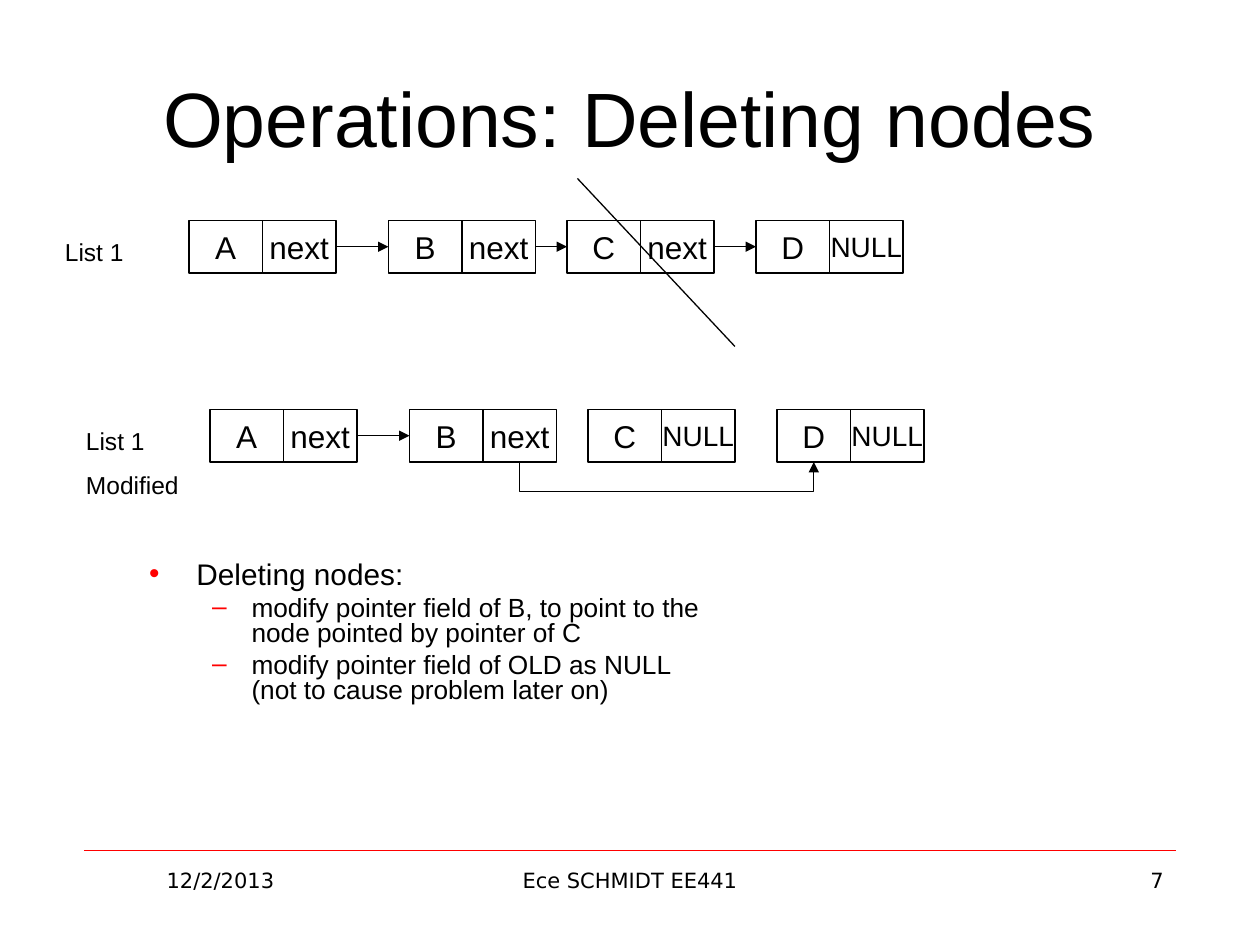
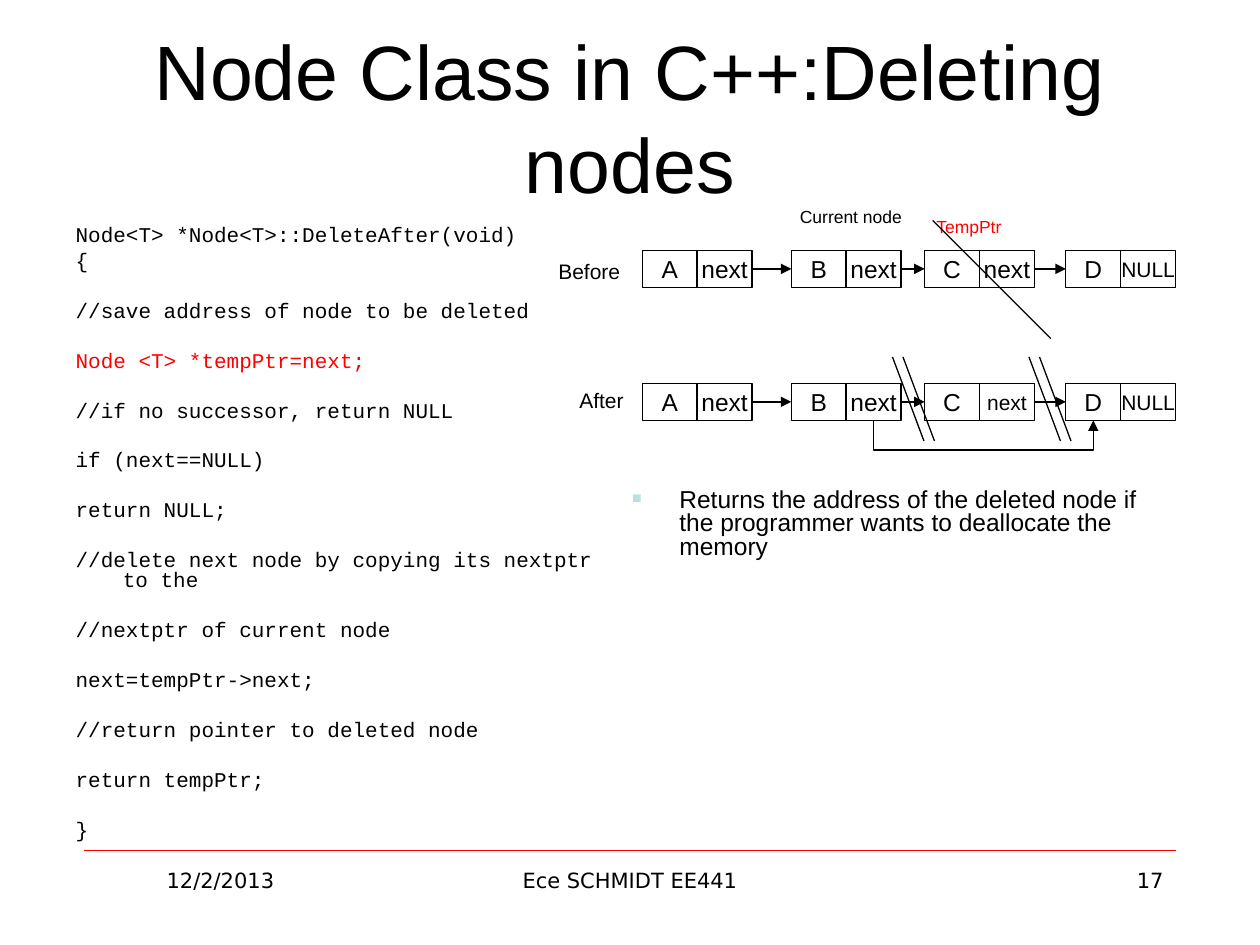
from dataclasses import dataclass

from lxml import etree
from pptx import Presentation
from pptx.dml.color import RGBColor
from pptx.enum.shapes import MSO_CONNECTOR as Link, MSO_SHAPE as Preset
from pptx.enum.text import MSO_ANCHOR as Anchor, MSO_AUTO_SIZE as Fit, PP_ALIGN as Align
from pptx.oxml.ns import qn
from pptx.util import Pt


@dataclass(frozen=True)
class Theme:
    black: str = "000000"
    red: str = "FF0000"
    pale: str = "BBE0E3"
    sans: str = "Arial"
    mono: str = "Courier New"
    footer_font: str = "DejaVu Sans"
    title: int = 44
    footer: int = 12
    code: int = 12
    line: float = 0.75
    rule: float = 0.25


THEME = Theme()
TOP, LEFT, BOTTOM, RIGHT = 0, 1, 2, 3
NODE_STARTS = (0, 114, 216, 324)
CELL_WIDTH, ELBOW_DROP = 42, 18

# Bullet styles: indent, hanging, size, space before, bullet, bullet colour, bullet percent
POINT = dict(level=0, margin=27, hang=27, size=17, before=4, mark="•", tint=THEME.red)
DETAIL = dict(level=1, margin=58.5, hang=22.5, size=15, before=3.5, mark="–", tint=THEME.red)
REMARK = dict(level=0, margin=27, hang=27, size=14, before=3, mark="■", tint=THEME.pale, percent=65)
CODE = dict(level=0, margin=27, hang=27, size=THEME.code, before=17, font=THEME.mono)
CODE_TIGHT = {**CODE, "before": 3}
CODE_RED = {**CODE, "color": THEME.red}

# Footer: left, width, alignment
FOOTER_SLOTS = ((48, 156, Align.CENTER), (246, 228, Align.CENTER), (516, 156, Align.RIGHT))
DATE, COURSE = "12/2/2013", "Ece SCHMIDT EE441"

# Content: chains hold (value, pointer) nodes; links join node numbers
LINKED = (("A", "next"), ("B", "next"), ("C", "next"), ("D", "NULL"))
UNLINKED = (("A", "next"), ("B", "next"), ("C", "NULL"), ("D", "NULL"))
ALL_LINKS = ((0, 1), (1, 2), (2, 3))
LARGE = dict(scale=1, height=30, size=18, small=16)
COMPACT = dict(scale=0.747, height=21.3, size=14, small=12)

SLIDES = [
    dict(
        title="Operations: Deleting nodes", number="7", layout=1,
        chains=[
            dict(LARGE, left=108, top=126, nodes=LINKED, links=ALL_LINKS),
            dict(LARGE, left=120, top=234, nodes=UNLINKED, links=((0, 1),), bypass=True),
        ],
        labels=[
            (("List 1",), 30, 132, 90, 14, THEME.black),
            (("List 1", "Modified"), 42, 240, 90, 14, THEME.black),
        ],
        strikes=[(330, 102, 420, 198)],
        bodies=[((78, 318, 336, 108), [
            ("Deleting nodes:", POINT),
            ("modify pointer field of B, to point to the node pointed by pointer of C", DETAIL),
            ("modify pointer field of OLD as NULL (not to cause problem later on)", DETAIL),
        ])],
    ),
    dict(
        title="Node Class in C++:Deleting nodes", number="17", layout=3,
        chains=[
            dict(COMPACT, left=367, top=143, nodes=LINKED, links=ALL_LINKS),
            dict(COMPACT, left=367, top=219, nodes=LINKED, links=ALL_LINKS, bypass=True,
                 small_cells=((2, 1),)),
        ],
        labels=[
            (("Current node",), 450, 114, 84, 10, THEME.black),
            (("TempPtr",), 528, 120, 84, 10, THEME.red),
            (("Before",), 312, 144, 67, 12, THEME.black),
            (("After",), 324, 218, 67, 12, THEME.black),
        ],
        strikes=[(533, 126, 600.5, 193.5)]
        + [(x, 204, x + 18, 252) for x in (510, 516, 588, 594)],
        bodies=[
            ((36, 126, 318, 360), [
                ("Node<T> *Node<T>::DeleteAfter(void)", CODE_TIGHT),
                ("{", CODE_TIGHT),
                ("//save address of node to be deleted", CODE),
                ("Node <T> *tempPtr=next;", CODE_RED),
                ("//if no successor, return NULL", CODE),
                ("if (next==NULL)", CODE),
                ("return NULL;", CODE),
                ("//delete next node by copying its nextptr to the", CODE),
                ("//nextptr of current node", CODE),
                ("next=tempPtr->next;", CODE),
                ("//return pointer to deleted node", CODE),
                ("return tempPtr;", CODE),
                ("}", CODE),
            ]),
            ((354, 276, 318, 96), [
                ("Returns the address of the deleted node if the programmer wants "
                 "to deallocate the memory", REMARK),
            ]),
        ],
    ),
]


# Helpers
def assign(target, **values):
    for name, value in values.items():
        setattr(target, name, value)


def place(shape, *box):
    assign(shape, **dict(zip(("left", "top", "width", "height"), map(Pt, box))))


def write(para, text, size, color=THEME.black, font=THEME.sans):
    span = para.add_run()
    span.text = text
    assign(span.font, size=Pt(size), name=font)
    span.font.color.rgb = RGBColor.from_string(color)


def add_label(page, lines, box, size, color=THEME.black, font=THEME.sans, align=Align.LEFT):
    frame = page.shapes.add_textbox(*map(Pt, box)).text_frame
    frame.word_wrap = True
    for row, text in enumerate(lines):
        para = frame.add_paragraph() if row else frame.paragraphs[0]
        assign(para, alignment=align, space_before=Pt(8 if row else 0))
        write(para, text, size, color, font)


def add_line(page, ends, kind=Link.STRAIGHT, arrow=False, color=THEME.black, weight=THEME.line):
    line = page.shapes.add_connector(kind, *map(Pt, ends))
    line.line.width = Pt(weight)
    line.line.color.rgb = RGBColor.from_string(color)
    if arrow:
        etree.SubElement(line.line._get_or_add_ln(), qn("a:tailEnd"), type="triangle")
    etree.SubElement(line._element.spPr, qn("a:effectLst"))
    return line


# Linked lists
def add_cell(page, text, box, size):
    cell = page.shapes.add_shape(Preset.RECTANGLE, *map(Pt, box))
    cell.shadow.inherit = False
    cell.fill.background()
    cell.line.width = Pt(THEME.line)
    cell.line.color.rgb = RGBColor.from_string(THEME.black)
    assign(cell.text_frame, word_wrap=False, vertical_anchor=Anchor.MIDDLE)
    para = cell.text_frame.paragraphs[0]
    para.alignment = Align.CENTER
    write(para, text, size)
    return cell


def add_bypass(page, start_x, end_x, y):
    """Elbow arrow that leaves downward and comes back up at the same height."""
    thin, span = 0.12, end_x - start_x
    elbow = add_line(page, (start_x, y, end_x, y), Link.ELBOW, arrow=True)
    place(elbow, (start_x + end_x - thin) / 2, y - span / 2, thin, span)
    form = elbow._element.spPr.find(qn("a:xfrm"))
    form.set("rot", str(270 * 60000))
    form.set("flipH", "1")
    guides = elbow._element.spPr.find(qn("a:prstGeom")).find(qn("a:avLst"))
    bend = round(ELBOW_DROP / thin * 100000)
    etree.SubElement(guides, qn("a:gd"), name="adj1", fmla=f"val {bend}")


def add_chain(page, left, top, nodes, links, scale, height, size, small,
              bypass=False, small_cells=()):
    width, cells = CELL_WIDTH * scale, []
    for index, (node, start) in enumerate(zip(nodes, NODE_STARTS)):
        pair = []
        for part, text in enumerate(node):
            x = left + start * scale + part * width
            is_small = text == "NULL" or (index, part) in small_cells
            pair.append(add_cell(page, text, (x, top, width, height), small if is_small else size))
        cells.append(pair)
    for source, target in links:
        arrow = add_line(page, (0, 0, 0, 0), arrow=True)
        arrow.begin_connect(cells[source][1], RIGHT)
        arrow.end_connect(cells[target][0], LEFT)
    if bypass:
        start_x = left + NODE_STARTS[1] * scale + 1.5 * width
        end_x = left + NODE_STARTS[3] * scale + 0.5 * width
        add_bypass(page, start_x, end_x, top + height)


# Placeholders
def fill_title(page, text):
    title = page.shapes.title
    place(title, 36, 21.5, 648, 90)
    assign(title.text_frame, auto_size=Fit.NONE, vertical_anchor=Anchor.MIDDLE)
    para = title.text_frame.paragraphs[0]
    para.alignment = Align.CENTER
    write(para, text, THEME.title)


def format_item(para, style):
    assign(para, level=style["level"], line_spacing=0.8, space_before=Pt(style["before"]))
    props = para._p.get_or_add_pPr()
    props.set("marL", str(Pt(style["margin"])))
    props.set("indent", str(-Pt(style["hang"])))
    if "mark" not in style:
        etree.SubElement(props, qn("a:buNone"))
        return
    tint = etree.SubElement(props, qn("a:buClr"))
    etree.SubElement(tint, qn("a:srgbClr"), val=style["tint"])
    etree.SubElement(props, qn("a:buSzPct"), val=str(style.get("percent", 100) * 1000))
    etree.SubElement(props, qn("a:buFont"), typeface=THEME.sans)
    etree.SubElement(props, qn("a:buChar"), char=style["mark"])


def fill_body(body, box, items):
    place(body, *box)
    frame = body.text_frame
    assign(frame, auto_size=Fit.NONE, word_wrap=True)
    for row, (text, style) in enumerate(items):
        para = frame.add_paragraph() if row else frame.paragraphs[0]
        format_item(para, style)
        write(para, text, style["size"], style.get("color", THEME.black),
              style.get("font", THEME.sans))


def add_footer(page, number):
    add_line(page, (48, 486, 672, 486), color=THEME.red, weight=THEME.rule)
    for text, (left, width, align) in zip((DATE, COURSE, number), FOOTER_SLOTS):
        add_label(page, (text,), (left, 492, width, 37.5), THEME.footer,
                  font=THEME.footer_font, align=align)


def build_slide(deck, content):
    page = deck.slides.add_slide(deck.slide_layouts[content["layout"]])
    fill_title(page, content["title"])
    add_footer(page, content["number"])
    for index, (box, items) in enumerate(content["bodies"], start=1):
        fill_body(page.placeholders[index], box, items)
    for chain in content["chains"]:
        add_chain(page, **chain)
    for lines, left, top, width, size, color in content["labels"]:
        add_label(page, lines, (left, top, width, 24 * len(lines)), size, color)
    for ends in content["strikes"]:
        add_line(page, ends)


def main():
    deck = Presentation()
    assign(deck, slide_width=Pt(720), slide_height=Pt(540))
    for content in SLIDES:
        build_slide(deck, content)
    deck.save("out.pptx")


if __name__ == "__main__":
    main()
